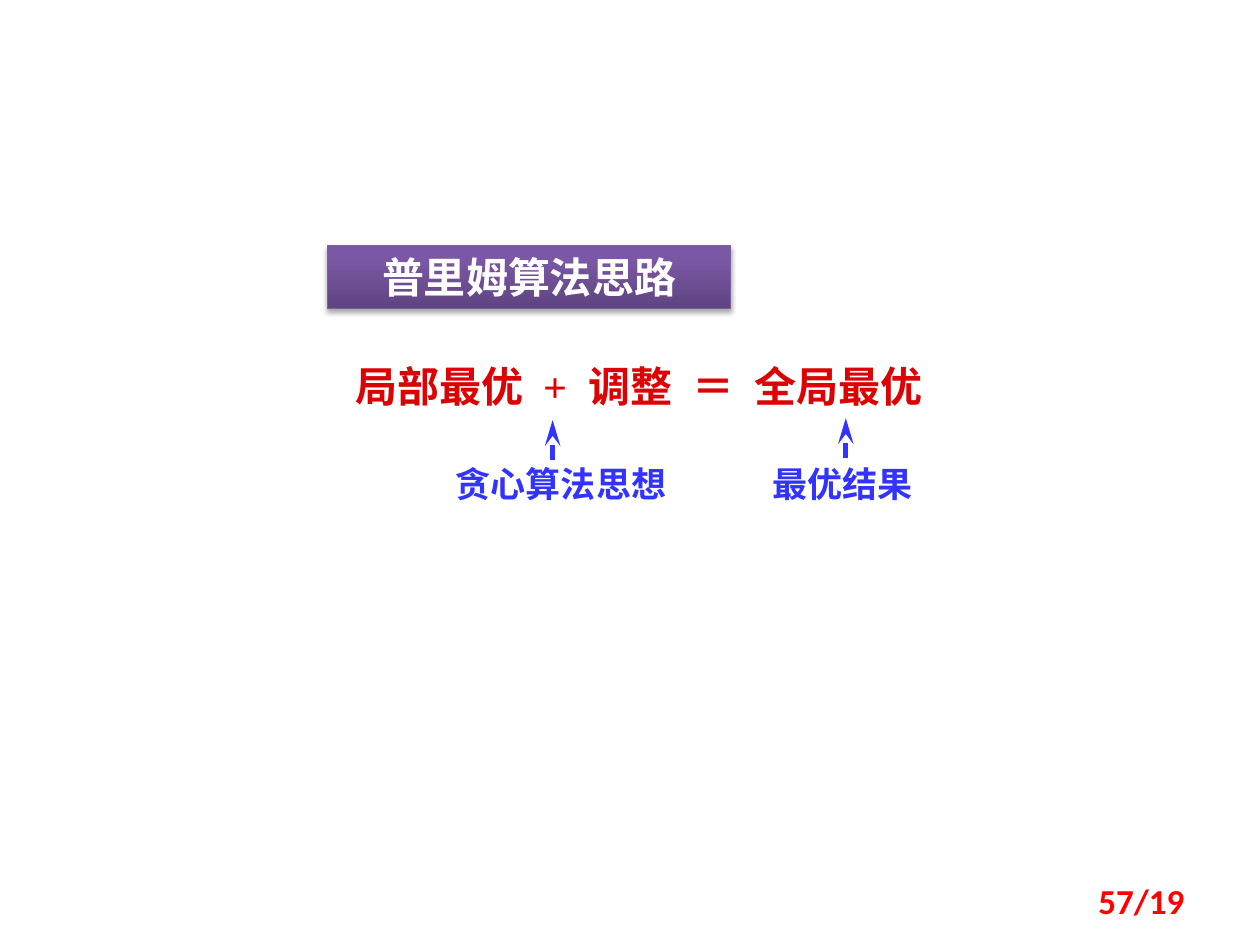
import copy
import dataclasses
import pptx
import pptx.dml.color
import pptx.enum.shapes
import pptx.enum.text
import pptx.oxml
import pptx.oxml.ns
import pptx.util

Cm = pptx.util.Cm
Pt = pptx.util.Pt
qn = pptx.oxml.ns.qn
Align = pptx.enum.text.PP_ALIGN
Fit = pptx.enum.text.MSO_AUTO_SIZE
Mid = pptx.enum.text.MSO_ANCHOR.MIDDLE
NS = pptx.oxml.ns.nsdecls("a")


@dataclasses.dataclass(frozen=True)
class Theme:
    red: str = "DB0303"
    blue: str = "3333FF"
    page: str = "FF0000"
    white: str = "FFFFFF"
    edge: str = "7D60A0"
    fade: tuple = ((0, "5F4480"), (0.8, "7B58A6"), (1, "7C57A8"))
    big: int = 24
    small: int = 20
    serif: str = "Times New Roman"
    sans: str = "Calibri"


theme = Theme()


def tint(code):
    return pptx.dml.color.RGBColor.from_string(code)


def write(para, text, size, color, font):
    run = para.add_run()
    run.text = text
    run.font.size = Pt(size)
    run.font.bold = True
    run.font.name = font
    run.font.color.rgb = tint(color)
    return run


def add_text(slide, box, fit=Fit.SHAPE_TO_FIT_TEXT):
    frame = slide.shapes.add_textbox(*map(Cm, box)).text_frame
    frame.word_wrap = True
    frame.auto_size = fit
    return frame


def add_title(slide, box, text):
    title = slide.shapes.title
    title.left, title.top, title.width, title.height = map(Cm, box)
    title.fill.gradient()
    title.fill.gradient_angle = 90
    props = title.element.spPr
    stops = props.find(".//" + qn("a:gsLst"))
    stops.append(copy.deepcopy(stops[-1]))
    for stop, (place, color) in zip(title.fill.gradient_stops, theme.fade):
        stop.position = place
        stop.color.rgb = tint(color)
    title.line.color.rgb = tint(theme.edge)
    title.line.width = Pt(0.75)
    props.append(pptx.oxml.parse_xml(
        f'<a:effectLst {NS}><a:outerShdw blurRad="39370" dist="22860" '
        'dir="5400000" rotWithShape="0"><a:srgbClr val="000000">'
        '<a:alpha val="35000"/></a:srgbClr></a:outerShdw></a:effectLst>'))
    frame = title.text_frame
    frame.auto_size = Fit.NONE
    frame.vertical_anchor = Mid
    para = frame.paragraphs[0]
    para.alignment = Align.CENTER
    write(para, text, theme.big, theme.white, theme.sans)


def add_sum(slide, box, words):
    para = add_text(slide, box).paragraphs[0]
    for spot, word in enumerate(words):
        if spot:
            gap = write(para, " ", theme.big, theme.red, theme.serif)
            gap.font._element.set("spc", "600")
        write(para, word, theme.big, theme.red, theme.serif)


def add_note(slide, box, text, shift, rise):
    left, top, width, height = box
    tip = Cm(left + shift)
    line = slide.shapes.add_connector(
        pptx.enum.shapes.MSO_CONNECTOR.STRAIGHT,
        tip, Cm(top + rise), tip, Cm(top + rise - 0.8))
    line.line.color.rgb = tint(theme.blue)
    line.line.width = Pt(3)
    props = line.element.spPr
    props.find(qn("a:ln")).append(pptx.oxml.parse_xml(
        f'<a:tailEnd {NS} type="stealth" w="med" len="lg"/>'))
    props.append(pptx.oxml.parse_xml(f"<a:effectLst {NS}/>"))
    para = add_text(slide, box).paragraphs[0]
    write(para, text, theme.small, theme.blue, theme.serif)


def add_page(slide, box, text):
    frame = add_text(slide, box, Fit.NONE)
    frame.vertical_anchor = Mid
    para = frame.paragraphs[0]
    para.alignment = Align.RIGHT
    write(para, text, theme.small, theme.page, theme.sans)


deck = pptx.Presentation()
deck.slide_width, deck.slide_height = Cm(25.4), Cm(19.05)
slide = deck.slides.add_slide(deck.slide_layouts[5])
add_sum(slide, (6.91, 7.14, 13, 1.27),
        ("局部最优", "+", "调整", "＝", "全局最优"))
for box, text, shift, rise in (
        ((8.94, 9.2, 4.8, 1.1), "贪心算法思想", 2.2, 0.07),
        ((15.32, 9.2, 3.4, 1.1), "最优结果", 1.73, 0.03)):
    add_note(slide, box, text, shift, rise)
add_title(slide, (6.6, 4.95, 8.13, 1.27), "普里姆算法思路")
add_page(slide, (18.21, 17.65, 5.92, 1.02), "57/19")
deck.save("out.pptx")
